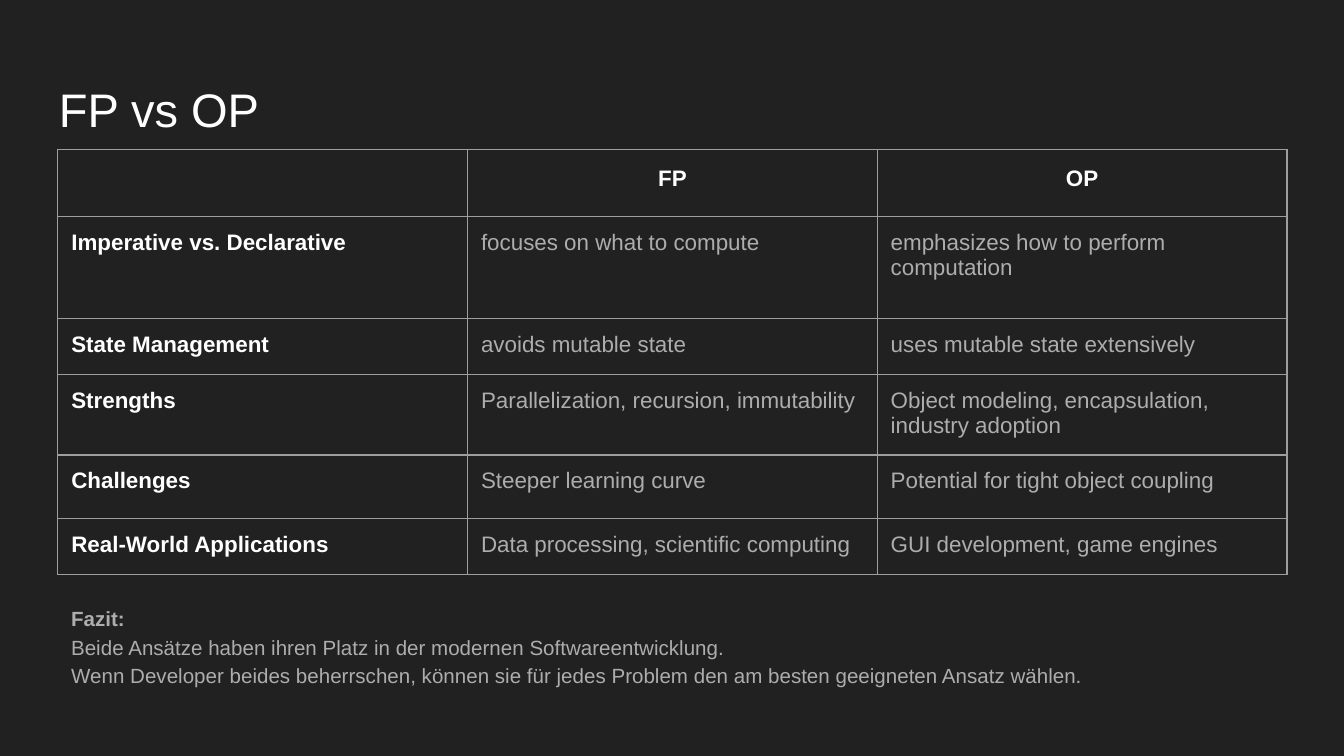
import pptx
import pptx.dml.color
import pptx.enum.text
import pptx.oxml
import pptx.oxml.ns
import pptx.util

Pt = pptx.util.Pt
Color = pptx.dml.color.RGBColor
ALIGN = pptx.enum.text.PP_ALIGN
ANCHOR = pptx.enum.text.MSO_ANCHOR

DARK = Color(0x21, 0x21, 0x21)
WHITE = Color(0xFF, 0xFF, 0xFF)
GRAY = Color(0xAD, 0xAD, 0xAD)
LINE = Color(0x9E, 0x9E, 0x9E)
FONT = "Arial"
INSET = Pt(7.2)

ROWS = [
    ("", "FP", "OP"),
    ("Imperative vs. Declarative", "focuses on what to compute",
     "emphasizes how to perform computation"),
    ("State Management", "avoids mutable state",
     "uses mutable state extensively"),
    ("Strengths", "Parallelization, recursion, immutability",
     "Object modeling, encapsulation, industry adoption"),
    ("Challenges", "Steeper learning curve",
     "Potential for tight object coupling"),
    ("Real-World Applications", "Data processing, scientific computing",
     "GUI development, game engines"),
]
HEIGHTS = [34.5, 54.5, 30, 41.5, 34, 30]
CLOSING = [
    "Beide Ansätze haben ihren Platz in der modernen Softwareentwicklung.",
    "Wenn Developer beides beherrschen, können sie für jedes Problem "
    "den am besten geeigneten Ansatz wählen.",
]


def add_run(para, text, size, color, bold=False):
    run = para.add_run()
    run.text = text
    font = run.font
    font.name, font.size, font.bold = FONT, Pt(size), bold
    font.color.rgb = color


def set_inset(part):
    part.margin_left = part.margin_right = INSET
    part.margin_top = part.margin_bottom = INSET


def add_box(slide, box, anchor):
    frame = slide.shapes.add_textbox(*map(Pt, box)).text_frame
    frame.word_wrap = True
    frame.vertical_anchor = anchor
    set_inset(frame)
    return frame


def add_title(slide, box):
    frame = add_box(slide, box, ANCHOR.BOTTOM)
    add_run(frame.paragraphs[0], "FP vs OP", 25.2, WHITE)


def set_border(cell):
    props = cell._tc.get_or_add_tcPr()
    for index, side in enumerate(("lnL", "lnR", "lnT", "lnB")):
        props.insert(index, pptx.oxml.parse_xml(
            f'<a:{side} {pptx.oxml.ns.nsdecls("a")} w="{int(Pt(0.75))}">'
            f'<a:solidFill><a:srgbClr val="{LINE}"/></a:solidFill></a:{side}>'))


def fill_cell(cell, text, head, label):
    cell.fill.background()
    set_border(cell)
    set_inset(cell)
    para = cell.text_frame.paragraphs[0]
    if head:
        para.alignment = ALIGN.CENTER
        para.line_spacing = 1.15
        para.space_before, para.space_after = Pt(14), Pt(4)
    if text:
        strong = head or label
        add_run(para, text, 12, WHITE if strong else GRAY, strong)


def add_grid(slide, box):
    count = len(ROWS[0])
    table = slide.shapes.add_table(len(ROWS), count, *map(Pt, box)).table
    table.first_row = table.horz_banding = False
    for col in table.columns:
        col.width = Pt(box[2] / count)
    for r, (texts, height) in enumerate(zip(ROWS, HEIGHTS)):
        table.rows[r].height = Pt(height)
        for c, text in enumerate(texts):
            fill_cell(table.cell(r, c), text, r == 0, c == 0)


def add_closing(slide, box):
    frame = add_box(slide, box, ANCHOR.TOP)
    para = frame.paragraphs[0]
    para.line_spacing = 1.5
    add_run(para, "Fazit:", 11, GRAY, True)
    para = frame.add_paragraph()
    para.line_spacing = 1.15
    for index, text in enumerate(CLOSING):
        if index:
            para.add_line_break()
        add_run(para, text, 11, GRAY)


def main():
    deck = pptx.Presentation()
    deck.slide_width, deck.slide_height = Pt(720), Pt(405)
    slide = deck.slides.add_slide(deck.slide_layouts[6])
    fill = slide.background.fill
    fill.solid()
    fill.fore_color.rgb = DARK

    # Closing remark, comparison table and title
    add_closing(slide, (31, 311, 658, 71))
    add_grid(slide, (31, 80, 658.5, sum(HEIGHTS)))
    add_title(slide, (24.5, 35.3, 671, 45.4))
    deck.save("out.pptx")


if __name__ == "__main__":
    main()
